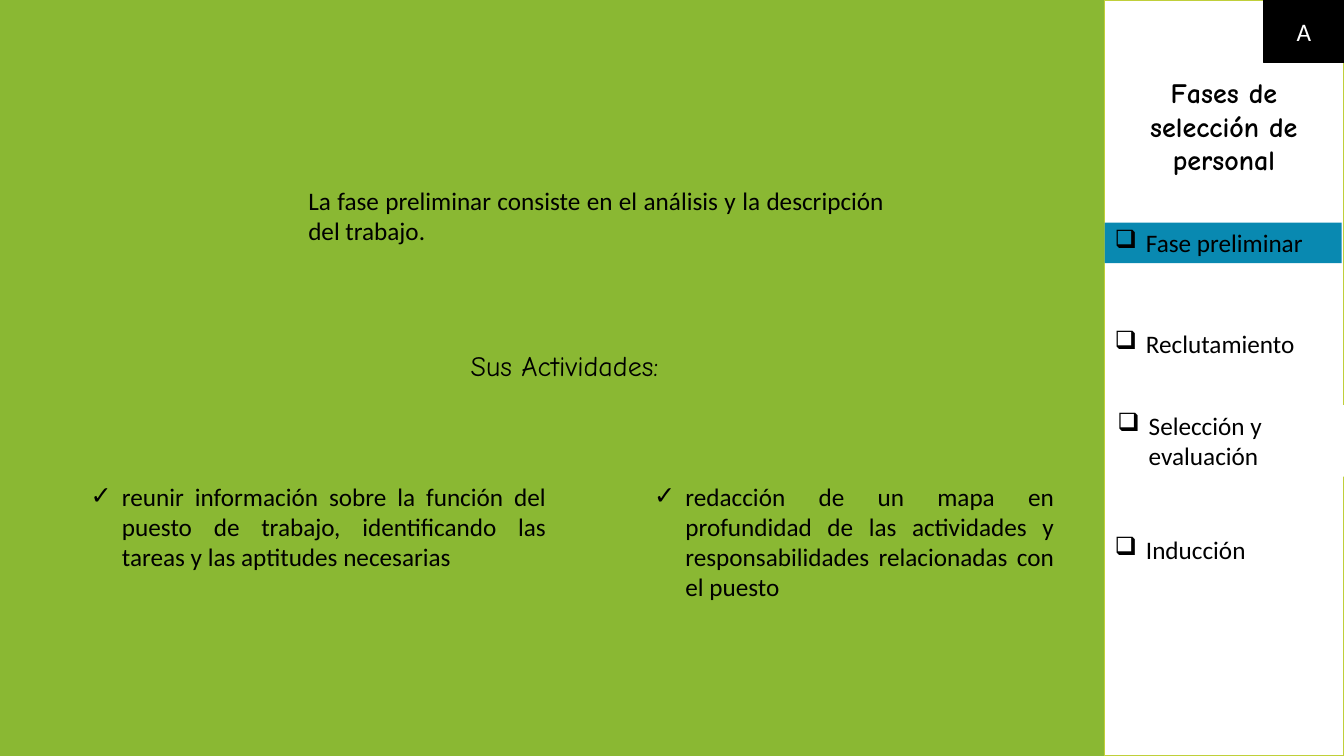
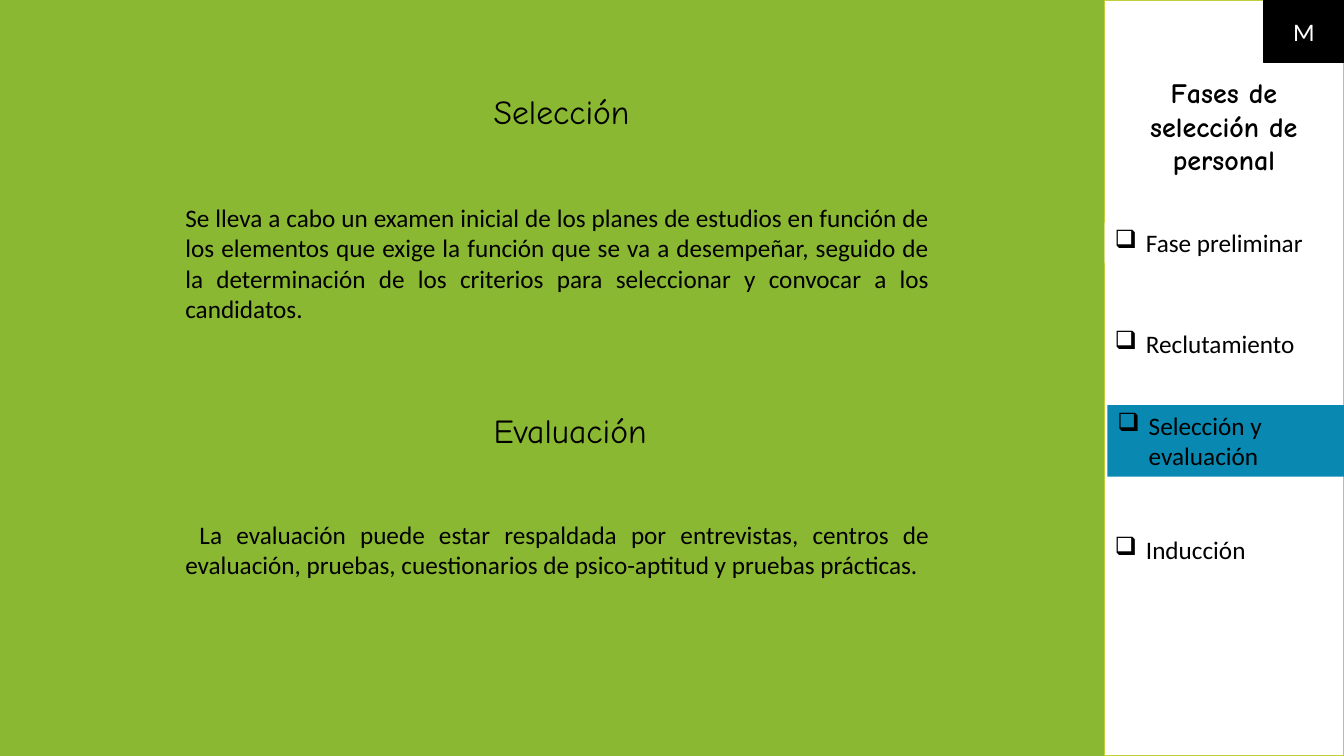
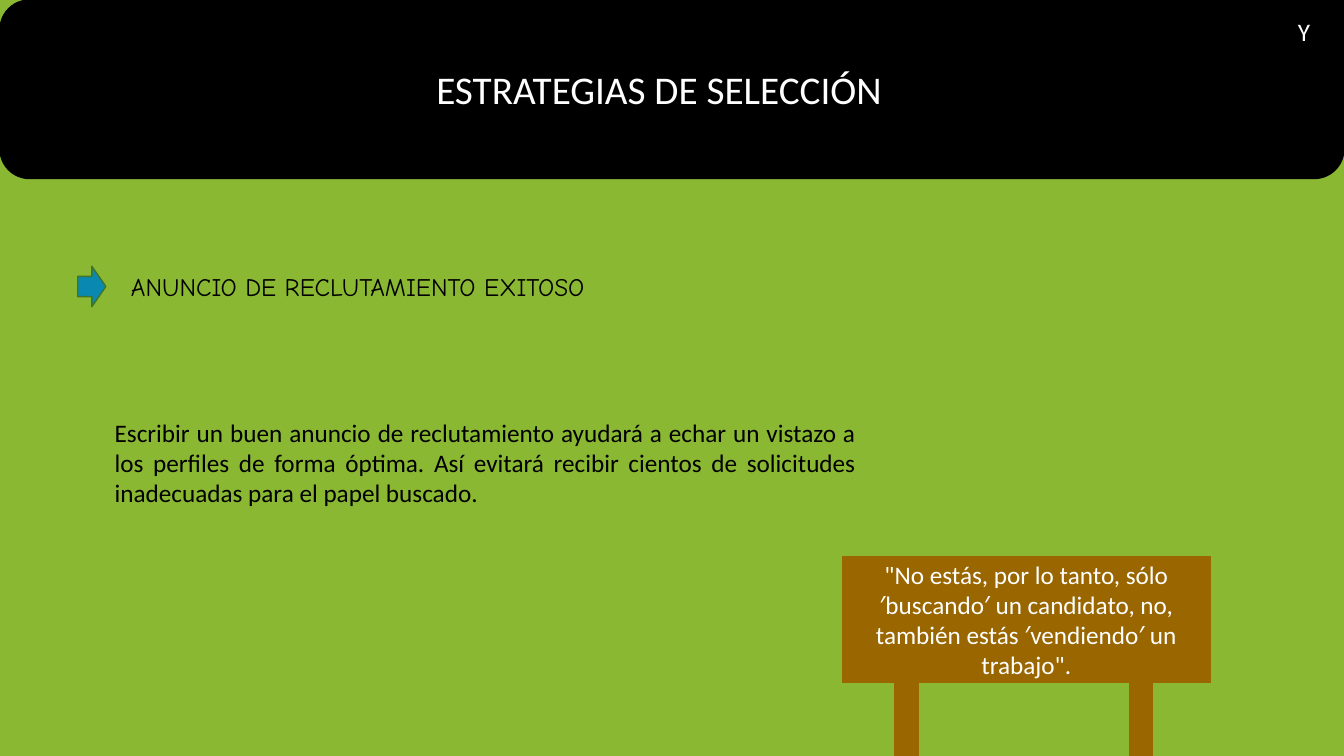
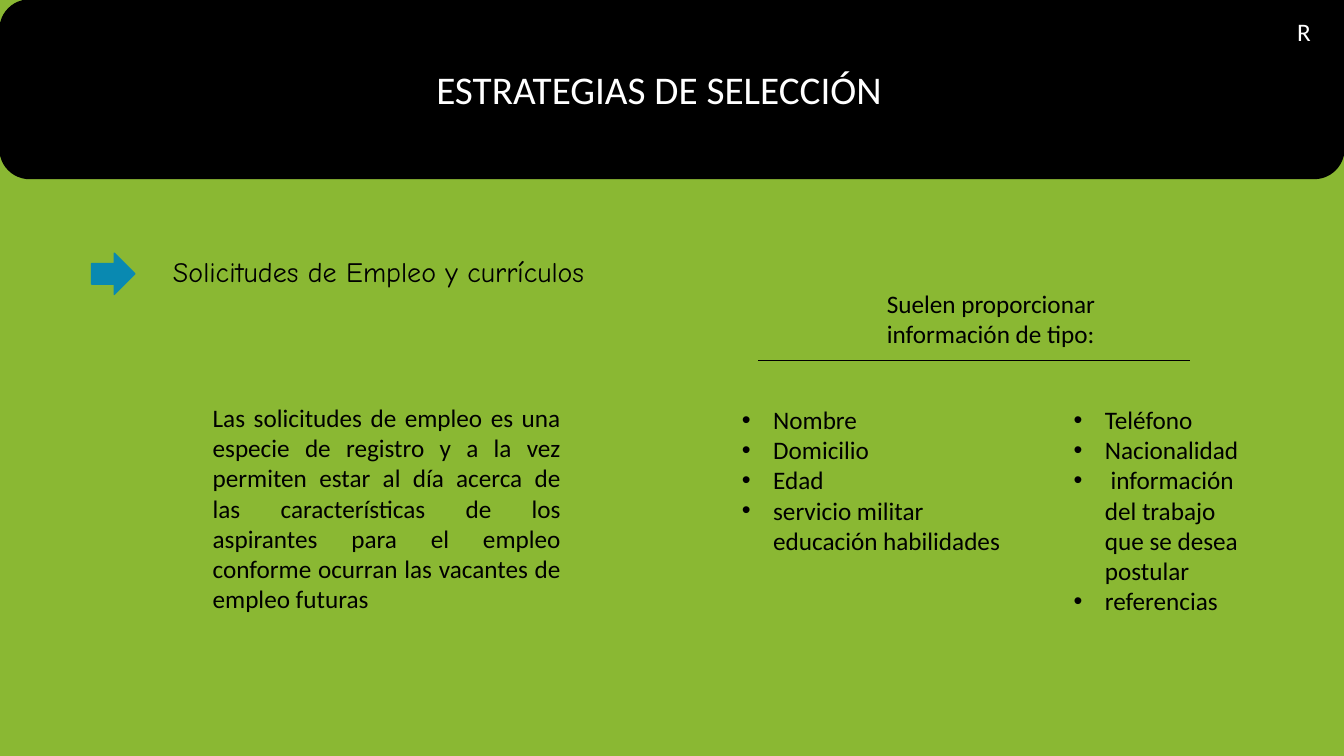
from dataclasses import dataclass
from typing import NamedTuple

from lxml.etree import SubElement
from pptx import Presentation
from pptx.dml.color import RGBColor
from pptx.enum.shapes import MSO_CONNECTOR, MSO_SHAPE
from pptx.enum.text import MSO_ANCHOR, MSO_AUTO_SIZE, PP_ALIGN
from pptx.oxml.ns import qn
from pptx.util import Cm, Pt

COLORS = {
    "green": "8AB833",
    "lime": "C0CF3A",
    "leaf": "3E752A",
    "teal": "0989B1",
    "brown": "996600",
    "white": "FFFFFF",
    "black": "000000",
}
WIDTH, HEIGHT = 33.87, 19.05
SIDEBAR_LEFT = 27.84
INDENT = 0.79
TITLE_ONLY, TWO_CONTENT = 5, 3


class Box(NamedTuple):
    left: float
    top: float
    width: float
    height: float


@dataclass(frozen=True)
class Style:
    size: int = 18
    font: str = "Calibri"
    color: str = "black"
    align: PP_ALIGN = PP_ALIGN.LEFT
    bold: bool = False
    bullet: str = ""
    anchor: MSO_ANCHOR = MSO_ANCHOR.TOP


@dataclass(frozen=True)
class MenuItem:
    label: str
    box: Box
    fill: str = ""


BODY = Style(align=PP_ALIGN.JUSTIFY)
PLAIN = Style()
SMALL_HEADING = Style(font="Comic Neue")
HEADING = Style(20, "Comic Neue")
LARGE_HEADING = Style(24, "Comic Neue")
SIDE_TITLE = Style(20, "Comic Neue", align=PP_ALIGN.CENTER, bold=True)
BAND_TITLE = Style(28, color="white")
LABEL = Style(color="white", align=PP_ALIGN.CENTER, anchor=MSO_ANCHOR.MIDDLE)
MENU = Style(bullet="❑")
CHECKS = Style(align=PP_ALIGN.JUSTIFY, bullet="✓")
DOTS = Style(bullet="•")

SIDE_TITLE_BOX = Box(28.42, 1.78, 4.85, 2.82)
BAND_TITLE_BOX = Box(10.74, 1.52, 14.02, 1.45)
BADGE_BOX = Box(31.85, 0, 2.02, 1.57)
MENU_ITEMS = (
    MenuItem("Fase preliminar", Box(SIDEBAR_LEFT, 5.61, 5.97, 1.02), "white"),
    MenuItem("Reclutamiento", Box(SIDEBAR_LEFT, 8.15, 5.44, 1.02)),
    MenuItem("Selección y evaluación", Box(27.91, 10.21, 5.96, 1.8), "white"),
    MenuItem("Inducción", Box(SIDEBAR_LEFT, 13.34, 5.97, 1.02)),
)


def rgb(name: str) -> RGBColor:
    return RGBColor.from_string(COLORS[name])


def write(sp, style: Style, *lines: str) -> None:
    tf = sp.text_frame
    tf.text = "\n".join(lines)
    tf.word_wrap = True
    tf.auto_size = MSO_AUTO_SIZE.NONE
    tf.vertical_anchor = style.anchor
    for p in tf.paragraphs:
        p.alignment = style.align
        p.space_before = Pt(0)
        if style.bullet:
            pPr = p._p.get_or_add_pPr()
            pPr.set("marL", str(Cm(INDENT)))
            pPr.set("indent", str(-Cm(INDENT)))
            SubElement(pPr, qn("a:buChar")).set("char", style.bullet)
        for r in p.runs:
            r.font.size = Pt(style.size)
            r.font.name = style.font
            r.font.bold = style.bold
            r.font.color.rgb = rgb(style.color)


def add_text(s, box: Box, style: Style, *lines: str) -> None:
    write(s.shapes.add_textbox(*map(Cm, box)), style, *lines)


def fill_placeholder(sp, box: Box, style: Style, *lines: str) -> None:
    sp.left, sp.top, sp.width, sp.height = map(Cm, box)
    write(sp, style, *lines)
    sp.element.getparent().append(sp.element)


def add_block(s, kind: MSO_SHAPE, box: Box, fill: str, line: str = "", width: float = 1):
    sp = s.shapes.add_shape(kind, *map(Cm, box))
    sp.shadow.inherit = False
    sp.fill.solid()
    sp.fill.fore_color.rgb = rgb(fill)
    if line:
        sp.line.color.rgb = rgb(line)
        sp.line.width = Pt(width)
    else:
        sp.line.fill.background()
    return sp


def add_rule(s, left: float, right: float, top: float) -> None:
    c = s.shapes.add_connector(MSO_CONNECTOR.STRAIGHT, Cm(left), Cm(top), Cm(right), Cm(top))
    c.line.color.rgb = rgb("black")
    c.line.width = Pt(0.5)
    SubElement(c.element.spPr, qn("a:effectLst"))


def add_badge(s, letter: str) -> None:
    write(add_block(s, MSO_SHAPE.RECTANGLE, BADGE_BOX, "black", "black"), LABEL, letter)


def add_phase_slide(prs, layout: int, active: str, letter: str):
    s = prs.slides.add_slide(prs.slide_layouts[layout])
    sidebar = Box(SIDEBAR_LEFT, 0, WIDTH - SIDEBAR_LEFT, HEIGHT)
    add_block(s, MSO_SHAPE.RECTANGLE, sidebar, "white", "lime")
    fill_placeholder(s.shapes.title, SIDE_TITLE_BOX, SIDE_TITLE, "Fases de selección de personal")
    for item in MENU_ITEMS:
        fill = "teal" if item.label == active else item.fill
        if fill:
            write(add_block(s, MSO_SHAPE.RECTANGLE, item.box, fill), MENU, item.label)
        else:
            add_text(s, item.box, MENU, item.label)
    add_badge(s, letter)
    return s


def add_strategy_slide(prs, layout: int, letter: str):
    s = prs.slides.add_slide(prs.slide_layouts[layout])
    add_block(s, MSO_SHAPE.ROUNDED_RECTANGLE, Box(0, 0, WIDTH, 4.5), "black", "black")
    fill_placeholder(s.shapes.title, BAND_TITLE_BOX, BAND_TITLE, "ESTRATEGIAS DE SELECCIÓN")
    add_badge(s, letter)
    return s


def build_preliminary(prs) -> None:
    s = add_phase_slide(prs, TWO_CONTENT, "Fase preliminar", "A")
    add_text(s, Box(7.52, 4.55, 15.01, 1.8), BODY,
             "La fase preliminar consiste en el análisis y la descripción del trabajo.")
    add_text(s, Box(11.61, 8.66, 6.81, 1.12), HEADING, "Sus Actividades:")
    fill_placeholder(s.placeholders[1], Box(2.03, 11.99, 11.99, 3.33), CHECKS,
                     "reunir información sobre la función del puesto de trabajo, "
                     "identificando las tareas y las aptitudes necesarias")
    fill_placeholder(s.placeholders[2], Box(16.23, 11.99, 10.59, 3.33), CHECKS,
                     "redacción de un mapa en profundidad de las actividades y "
                     "responsabilidades relacionadas con el puesto")


def build_selection(prs) -> None:
    s = add_phase_slide(prs, TITLE_ONLY, "Selección y evaluación", "M")
    add_text(s, Box(12.19, 2.16, 5.59, 1.27), LARGE_HEADING, "Selección")
    add_text(s, Box(4.42, 4.98, 19.25, 3.33), BODY,
             "Se lleva a cabo un examen inicial de los planes de estudios en función de los "
             "elementos que exige la función que se va a desempeñar, seguido de la determinación "
             "de los criterios para seleccionar y convocar a los candidatos.")
    add_text(s, Box(12.19, 10.21, 4.75, 1.27), LARGE_HEADING, "Evaluación")
    add_text(s, Box(4.42, 12.95, 19.25, 1.8), BODY,
             " La evaluación puede estar respaldada por entrevistas, centros de evaluación, "
             "pruebas, cuestionarios de psico-aptitud y pruebas prácticas.")


def build_advert(prs) -> None:
    s = add_strategy_slide(prs, TITLE_ONLY, "Y")
    add_text(s, Box(3.05, 6.71, 13.87, 1.02), SMALL_HEADING, "ANUNCIO DE RECLUTAMIENTO EXITOSO")
    add_block(s, MSO_SHAPE.RIGHT_ARROW, Box(1.96, 6.71, 0.71, 1.02), "teal", "leaf")
    add_text(s, Box(2.64, 10.39, 19.18, 2.57), BODY,
             "Escribir un buen anuncio de reclutamiento ayudará a echar un vistazo a los perfiles "
             "de forma óptima. Así evitará recibir cientos de solicitudes inadecuadas para el "
             "papel buscado.")
    sign = add_block(s, MSO_SHAPE.RECTANGLE, Box(21.23, 14.02, 9.27, 3.18), "brown", "brown")
    write(sign, LABEL, '"No estás, por lo tanto, sólo ′buscando′ un candidato, no, '
                       'también estás ′vendiendo′ un trabajo".')
    for left in (22.56, 28.47):
        add_block(s, MSO_SHAPE.RECTANGLE, Box(left, 17.2, 0.58, 1.85), "brown", "brown")


def build_applications(prs) -> None:
    s = add_strategy_slide(prs, TWO_CONTENT, "R")
    add_text(s, Box(4.11, 6.3, 14.99, 1.12), HEADING, "Solicitudes de Empleo y currículos")
    add_block(s, MSO_SHAPE.RIGHT_ARROW, Box(2.31, 6.38, 1.09, 1.04), "teal", "teal")
    add_text(s, Box(5.11, 10.01, 9.27, 5.64), BODY,
             "Las solicitudes de empleo es una especie de registro y a la vez permiten estar al "
             "día acerca de las características de los aspirantes para el empleo conforme ocurran "
             "las vacantes de empleo futuras")
    add_text(s, Box(22.1, 7.14, 6.73, 1.8), PLAIN, "Suelen proporcionar información de tipo:")
    add_rule(s, 19.1, 30, 9.07)
    fill_placeholder(s.placeholders[1], Box(18.44, 10.06, 7.04, 4.88), DOTS,
                     "Nombre", "Domicilio", "Edad", "servicio militar educación habilidades")
    fill_placeholder(s.placeholders[2], Box(26.8, 10.06, 4.85, 6.4), DOTS,
                     "Teléfono", "Nacionalidad",
                     " información del trabajo que se desea postular", "referencias")


def main() -> None:
    prs = Presentation()
    prs.slide_width, prs.slide_height = Cm(WIDTH), Cm(HEIGHT)
    background = prs.slide_master.background.fill
    background.solid()
    background.fore_color.rgb = rgb("green")
    for build in (build_preliminary, build_selection, build_advert, build_applications):
        build(prs)
    prs.save("out.pptx")


if __name__ == "__main__":
    main()
